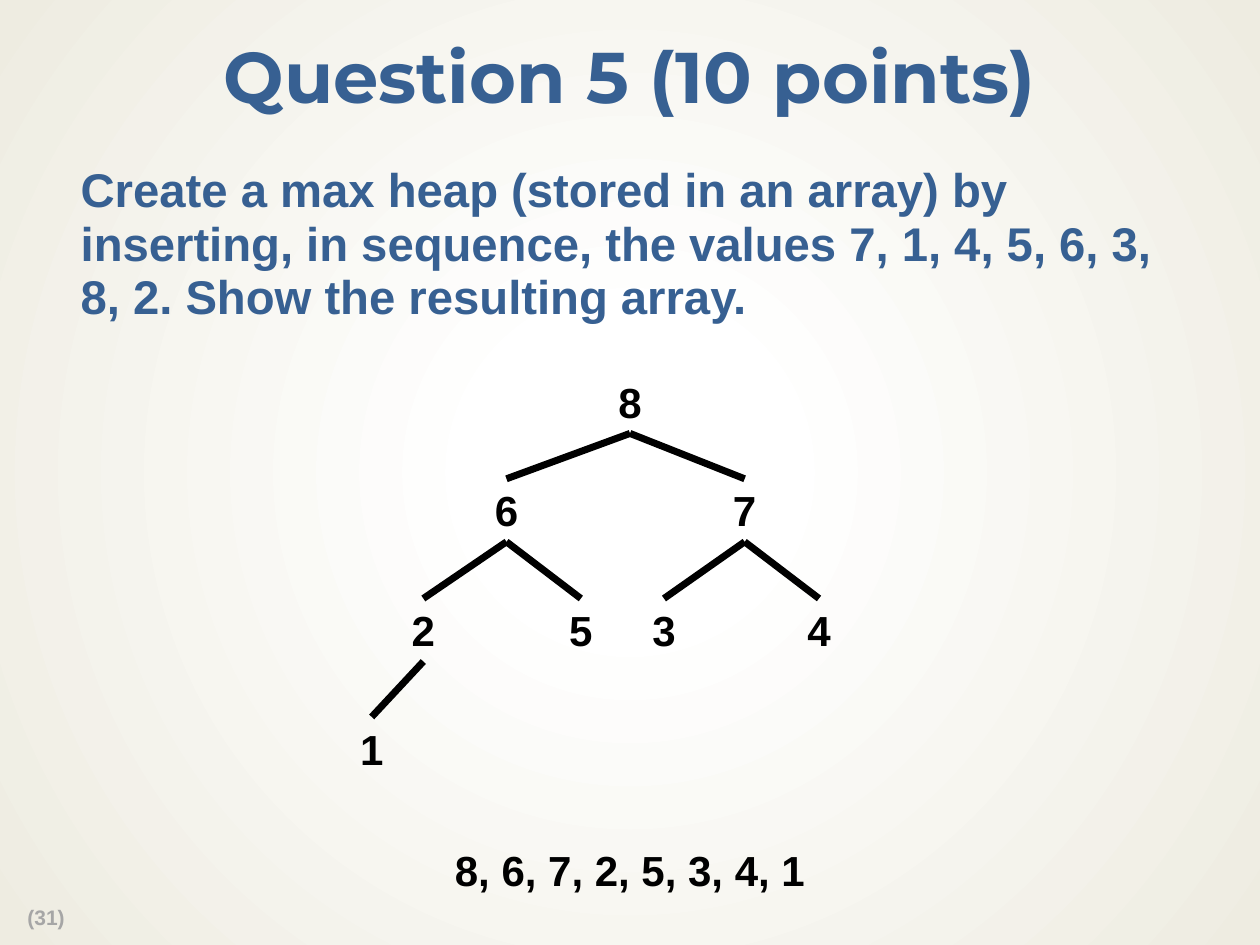
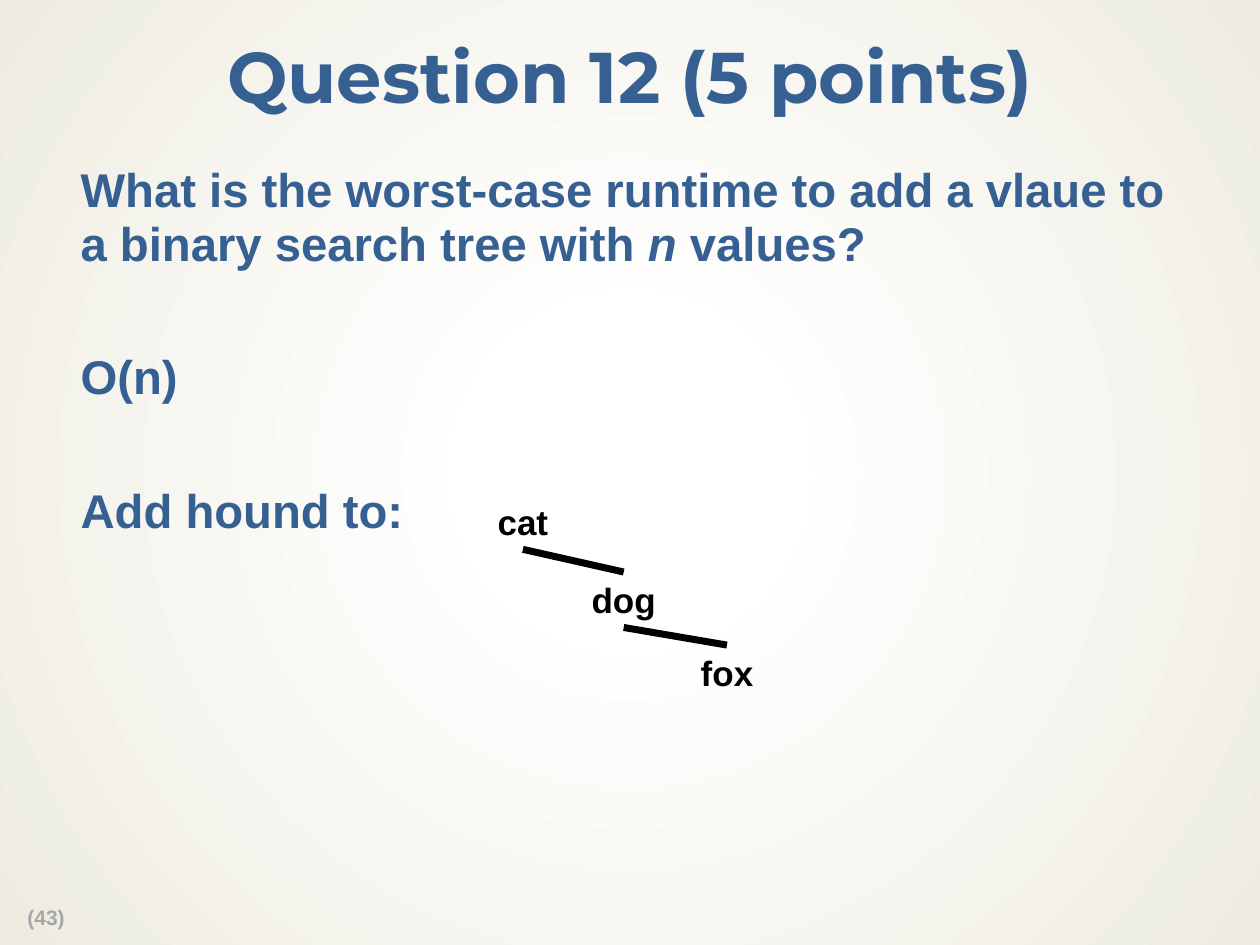
from pptx import Presentation
from pptx.dml.color import RGBColor
from pptx.enum.shapes import MSO_CONNECTOR
from pptx.enum.text import MSO_ANCHOR, PP_ALIGN
from pptx.oxml import parse_xml
from pptx.oxml.ns import qn
from pptx.util import Inches, Pt
from lxml import etree

BLUE = RGBColor(0x37, 0x60, 0x92)
GREY = RGBColor(0xA6, 0xA6, 0xA6)
BLACK = RGBColor(0, 0, 0)
BACKGROUND = """
<a:gradFill xmlns:a="http://schemas.openxmlformats.org/drawingml/2006/main" rotWithShape="1">
  <a:gsLst>
    <a:gs pos="18000"><a:srgbClr val="FFFFFF"><a:alpha val="53000"/></a:srgbClr></a:gs>
    <a:gs pos="100000"><a:srgbClr val="EEECE1"/></a:gs>
  </a:gsLst>
  <a:path path="circle"><a:fillToRect l="50000" t="50000" r="50000" b="50000"/></a:path>
</a:gradFill>"""

LABEL_HEIGHT = {24: 0.5, 20: 0.44}

# Nodes: name -> (centre x, top, label width); edges: parent, child
questions = [
    {
        "title": "Question 5 (10 points)",
        "number": "(31)",
        "body": [[("Create a max heap (stored in an array) by inserting, in sequence, "
                   "the values 7, 1, 4, 5, 6, 3, 8, 2. Show the resulting array.", False)]],
        "size": 24,
        "nodes": {
            "8": (5, 2.94, 0.39),
            "6": (4.02, 3.8, 0.39), "7": (5.91, 3.8, 0.39),
            "2": (3.36, 4.75, 0.39), "5": (4.61, 4.75, 0.39),
            "3": (5.27, 4.75, 0.39), "4": (6.5, 4.75, 0.39),
            "1": (2.95, 5.69, 0.39),
            "8, 6, 7, 2, 5, 3, 4, 1": (5, 6.65, 3.01),
        },
        "edges": ["86", "87", "62", "65", "73", "74", "21"],
    },
    {
        "title": "Question 12 (5 points)",
        "number": "(43)",
        "body": [
            [("What is the worst-case runtime to add a vlaue to a binary search tree with ", False),
             ("n", True), (" values?", False)],
            [("O(n)", False)],
            [("Add hound to:", False)],
        ],
        "size": 20,
        "nodes": {"cat": (4.15, 3.92, 0.61), "dog": (4.95, 4.54, 0.72), "fox": (5.77, 5.12, 0.62)},
        "edges": [("cat", "dog"), ("dog", "fox")],
    },
]


def add_text(slide, box, paragraphs, size, color, font="Arial", align=PP_ALIGN.LEFT,
             anchor=MSO_ANCHOR.TOP, margins=(0.1, 0.05), wrap=True, spacing=None, gap=0):
    """Add bold text; paragraphs hold (text, italic) runs, margins are (sides, top and bottom)."""
    label = slide.shapes.add_textbox(*[Inches(length) for length in box])
    frame = label.text_frame
    frame.word_wrap = wrap
    frame.vertical_anchor = anchor
    frame.margin_left = frame.margin_right = Inches(margins[0])
    frame.margin_top = frame.margin_bottom = Inches(margins[1])
    for index, runs in enumerate(paragraphs):
        paragraph = frame.add_paragraph() if index else frame.paragraphs[0]
        paragraph.alignment = align
        if spacing:
            paragraph.line_spacing = spacing
        if index:
            paragraph.space_before = Pt(gap)
        for text, italic in runs:
            run = paragraph.add_run()
            run.text = text
            run.font.name = font
            run.font.size = Pt(size)
            run.font.bold = True
            run.font.italic = italic
            run.font.color.rgb = color
    return label


prs = Presentation()
prs.slide_width, prs.slide_height = Inches(10), Inches(7.5)

master = prs.slide_master
master.background.fill.gradient()
gradient = next(master.background._cSld.iter(qn("a:gradFill")))
gradient.getparent().replace(gradient, parse_xml(BACKGROUND))

for question in questions:
    slide = prs.slides.add_slide(prs.slide_layouts[6])
    add_text(slide, (0.12, 7.15, 0.56, 0.28), [[(question["number"], False)]], 12, GREY,
             wrap=False, spacing=0.9)
    add_text(slide, (0, 0.17, 10, 0.94), [[(question["title"], False)]], 41, BLUE, "Montserrat",
             PP_ALIGN.CENTER, MSO_ANCHOR.MIDDLE, (0.13, 0.06), spacing=0.9)
    add_text(slide, (0.52, 1.25, 9.11, 5.65), question["body"], 27, BLUE,
             margins=(0.12, 0.06), spacing=0.94, gap=46)

    size = question["size"]
    labels = {}
    for name, (center, top, width) in question["nodes"].items():
        labels[name] = add_text(slide, (center - width / 2, top, width, LABEL_HEIGHT[size]),
                                [[(name, False)]], size, BLACK, align=PP_ALIGN.CENTER, wrap=False)

    for parent, child in question["edges"]:
        edge = slide.shapes.add_connector(MSO_CONNECTOR.STRAIGHT, 0, 0, 0, 0)
        edge.begin_connect(labels[parent], 2)
        edge.end_connect(labels[child], 0)
        edge.line.color.rgb = BLACK
        edge.line.width = Pt(4)
        etree.SubElement(edge._element.spPr, qn("a:effectLst"))

prs.save("out.pptx")
